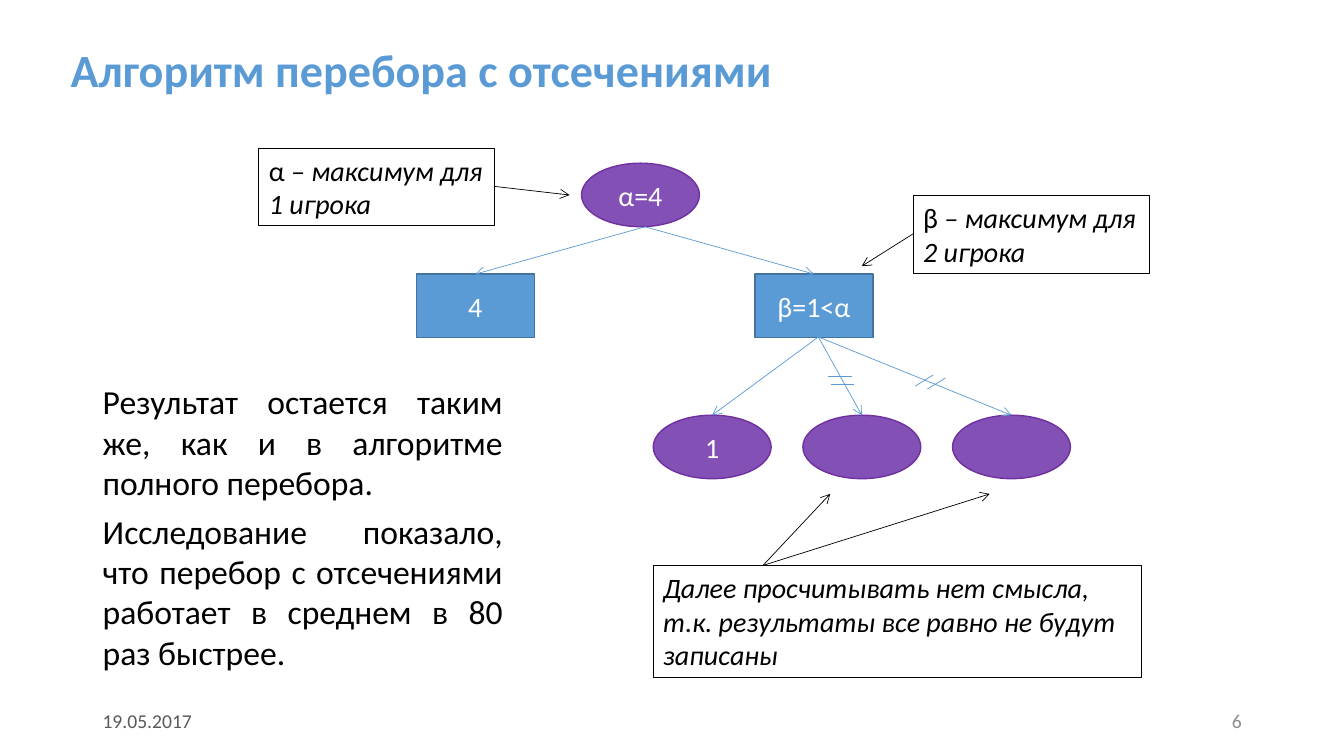
from dataclasses import dataclass
from typing import NamedTuple

from lxml.etree import SubElement
from pptx import Presentation
from pptx.dml.color import RGBColor
from pptx.enum.shapes import MSO_CONNECTOR, MSO_SHAPE
from pptx.enum.text import MSO_ANCHOR, MSO_AUTO_SIZE, PP_ALIGN
from pptx.oxml.ns import qn
from pptx.shapes.autoshape import Shape
from pptx.slide import Slide
from pptx.text.text import _Paragraph as Paragraph
from pptx.util import Pt


@dataclass(frozen=True)
class Theme:
    font: str = "Calibri"
    black: RGBColor = RGBColor(0x00, 0x00, 0x00)
    white: RGBColor = RGBColor(0xFF, 0xFF, 0xFF)
    blue: RGBColor = RGBColor(0x5B, 0x9B, 0xD5)
    blue_outline: RGBColor = RGBColor(0x43, 0x73, 0x9E)
    purple: RGBColor = RGBColor(0x83, 0x50, 0xB6)
    purple_outline: RGBColor = RGBColor(0x70, 0x30, 0xA0)
    date: RGBColor = RGBColor(0x59, 0x59, 0x59)
    number: RGBColor = RGBColor(0x8C, 0x8C, 0x8C)
    title_size: float = 33
    body_size: float = 24
    label_size: float = 20
    footer_size: float = 14


THEME = Theme()


class Node(NamedTuple):
    left: float
    top: float
    text: str
    first_player: bool


class Callout(NamedTuple):
    left: float
    top: float
    width: float
    height: float
    symbol: str
    text: str


class Line(NamedTuple):
    start: tuple[float, float]
    end: tuple[float, float]
    color: RGBColor
    arrow: bool = True


class Footer(NamedTuple):
    left: float
    text: str
    color: RGBColor
    alignment: PP_ALIGN


NODE_WIDTH, NODE_HEIGHT = 84.24, 45.36
ROOT_TOP, REPLY_TOP, LEAF_TOP = 116.6, 195.8, 296.6
LEAF_LEFT, LEAF_STEP = 466.6, 106.9
ROOT_EXIT = (460.8, 162)
REPLY_EXIT = (584.6, 240.7)
CUT_NOTE_EXIT = (545, 403.9)

REPLIES = [
    Node(297.4, REPLY_TOP, "4", False),
    Node(539.3, REPLY_TOP, "β=1<α", False),
]
LEAVES = [
    Node(LEAF_LEFT + index * LEAF_STEP, LEAF_TOP, text, True)
    for index, text in enumerate(["1", "", ""])
]
NODES = [Node(415.4, ROOT_TOP, "α=4", True), *REPLIES, *LEAVES]

CALLOUTS = [
    Callout(185, 105.8, 168.5, 55.6, "α", " – максимум для 1 игрока"),
    Callout(652.3, 139.7, 168.5, 55.6, "β", " – максимум для 2 игрока"),
    Callout(466.6, 403.9, 348.5, 79.9, "",
            "Далее просчитывать нет смысла, т.к. результаты все равно не будут записаны"),
]

BRANCHES = [
    Line(origin, (child.left + NODE_WIDTH / 2, child.top), THEME.blue)
    for origin, children in [(ROOT_EXIT, REPLIES), (REPLY_EXIT, LEAVES)]
    for child in children
]
CUT_MARKS = [
    Line(start, end, THEME.blue, arrow=False)
    for start, end in [
        ((591.8, 268.6), (608.4, 268.6)),
        ((593.3, 274.3), (609.8, 274.3)),
        ((653.8, 275.8), (666.7, 267.8)),
        ((662.4, 277.9), (675.4, 270)),
    ]
]
POINTERS = [
    Line(start, end, THEME.black)
    for start, end in [
        ((353.5, 133.2), (406.8, 139.3)),
        ((652.3, 167), (615.6, 190.1)),
        (CUT_NOTE_EXIT, (593, 352.8)),
        (CUT_NOTE_EXIT, (707, 352.8)),
    ]
]

FOOTERS = [
    Footer(66.2, "19.05.2017", THEME.date, PP_ALIGN.LEFT),
    Footer(678.2, "6", THEME.number, PP_ALIGN.RIGHT),
]
BODY = [
    "Результат остается таким же, как и в алгоритме полного перебора.",
    "Исследование показало, что перебор с отсечениями работает в среднем в 80 раз быстрее.",
]


def place(shape: Shape, left: float, top: float, width: float, height: float) -> None:
    shape.left, shape.top = Pt(left), Pt(top)
    shape.width, shape.height = Pt(width), Pt(height)


def format_paragraph(paragraph: Paragraph, size: float, color: RGBColor,
                     alignment: PP_ALIGN = PP_ALIGN.LEFT) -> None:
    paragraph.alignment = alignment
    paragraph.font.name = THEME.font
    paragraph.font.size = Pt(size)
    paragraph.font.color.rgb = color


def fill_title(slide: Slide) -> None:
    title = slide.shapes.title
    place(title, 43.2, 9.4, 674.6, 85)
    title.text_frame.auto_size = MSO_AUTO_SIZE.NONE
    title.text_frame.vertical_anchor = MSO_ANCHOR.MIDDLE
    title.text_frame.text = "Алгоритм перебора с отсечениями"
    paragraph = title.text_frame.paragraphs[0]
    paragraph.line_spacing = 0.9
    format_paragraph(paragraph, THEME.title_size, THEME.blue)
    paragraph.font.bold = True


def fill_body(slide: Slide) -> None:
    body = slide.placeholders[1]
    place(body, 66.2, 268.6, 300.2, 217.4)
    frame = body.text_frame
    frame.auto_size = MSO_AUTO_SIZE.NONE
    frame.text = "\n".join(BODY)
    for index, paragraph in enumerate(frame.paragraphs):
        paragraph.space_before = Pt(6 * index)
        properties = paragraph._p.get_or_add_pPr()
        properties.set("marL", "0")
        properties.set("indent", "0")
        SubElement(properties, qn("a:buNone"))
        format_paragraph(paragraph, THEME.body_size, THEME.black, PP_ALIGN.JUSTIFY)


def draw_footer(slide: Slide, footer: Footer) -> None:
    box = slide.shapes.add_textbox(Pt(footer.left), Pt(500.4), Pt(216), Pt(28.8))
    box.text_frame.word_wrap = True
    box.text_frame.vertical_anchor = MSO_ANCHOR.MIDDLE
    box.text_frame.text = footer.text
    format_paragraph(box.text_frame.paragraphs[0], THEME.footer_size,
                     footer.color, footer.alignment)


def draw_node(slide: Slide, node: Node) -> None:
    preset = MSO_SHAPE.OVAL if node.first_player else MSO_SHAPE.RECTANGLE
    shape = slide.shapes.add_shape(preset, Pt(node.left), Pt(node.top),
                                   Pt(NODE_WIDTH), Pt(NODE_HEIGHT))
    shape.shadow.inherit = False
    shape.fill.solid()
    shape.fill.fore_color.rgb = THEME.purple if node.first_player else THEME.blue
    shape.line.color.rgb = THEME.purple_outline if node.first_player else THEME.blue_outline
    shape.line.width = Pt(1)
    if node.text:
        shape.text_frame.text = node.text
        shape.text_frame.vertical_anchor = MSO_ANCHOR.MIDDLE
        format_paragraph(shape.text_frame.paragraphs[0], THEME.label_size,
                         THEME.white, PP_ALIGN.CENTER)


def draw_callout(slide: Slide, callout: Callout) -> None:
    box = slide.shapes.add_textbox(Pt(callout.left), Pt(callout.top),
                                   Pt(callout.width), Pt(callout.height))
    box.line.color.rgb = THEME.black
    box.line.width = Pt(0.75)
    box.text_frame.word_wrap = True
    paragraph = box.text_frame.paragraphs[0]
    format_paragraph(paragraph, THEME.label_size, THEME.black)
    if callout.symbol:
        paragraph.add_run().text = callout.symbol
    explanation = paragraph.add_run()
    explanation.text = callout.text
    explanation.font.italic = True


def draw_line(slide: Slide, line: Line) -> None:
    connector = slide.shapes.add_connector(
        MSO_CONNECTOR.STRAIGHT, *map(Pt, line.start), *map(Pt, line.end))
    connector.line.color.rgb = line.color
    connector.line.width = Pt(0.5)
    if line.arrow:
        SubElement(connector.line._get_or_add_ln(), qn("a:tailEnd"), type="arrow")
    SubElement(connector._element.spPr, qn("a:effectLst"))


def main() -> None:
    presentation = Presentation()
    presentation.slide_width, presentation.slide_height = Pt(960), Pt(540)
    slide = presentation.slides.add_slide(presentation.slide_layouts[1])
    fill_title(slide)
    fill_body(slide)
    for footer in FOOTERS:
        draw_footer(slide, footer)
    for node in NODES:
        draw_node(slide, node)
    for line in BRANCHES + CUT_MARKS + POINTERS:
        draw_line(slide, line)
    for callout in CALLOUTS:
        draw_callout(slide, callout)
    presentation.save("out.pptx")


if __name__ == "__main__":
    main()
